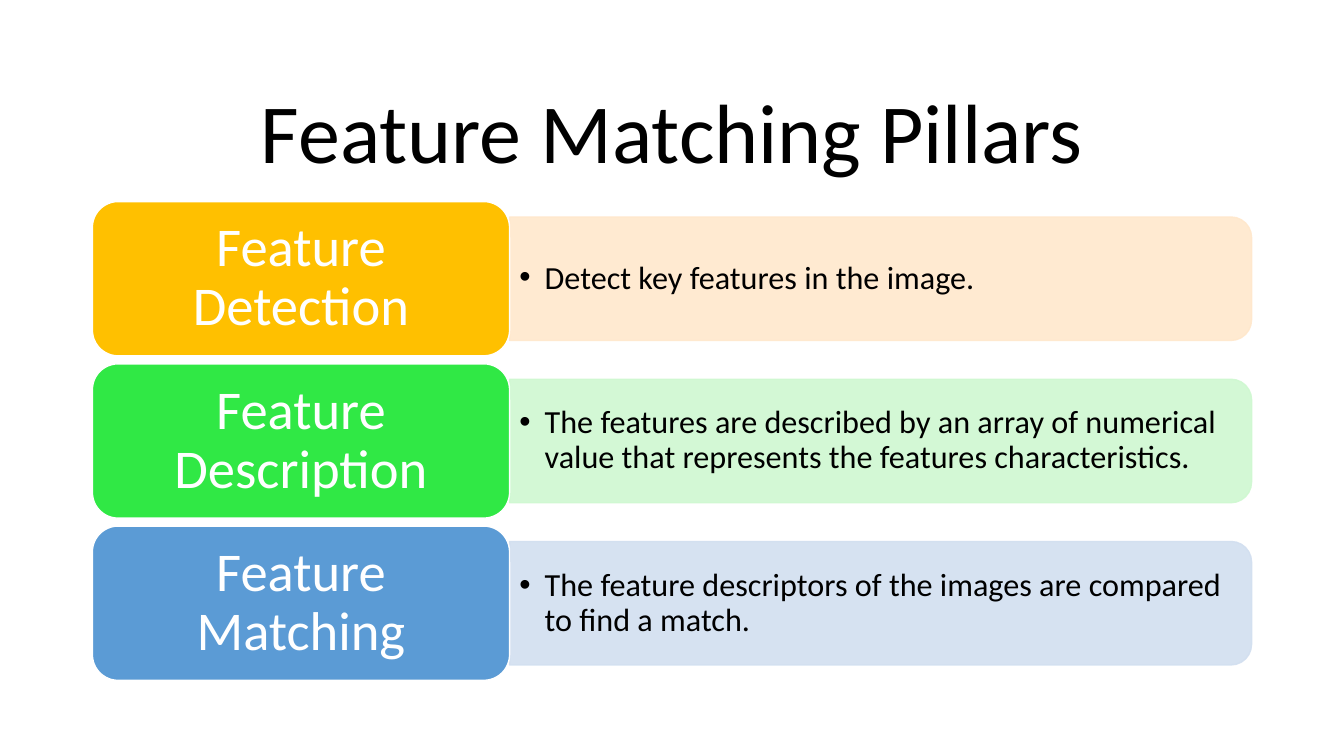
from dataclasses import dataclass

from lxml import etree
from pptx import Presentation
from pptx.dml.color import RGBColor
from pptx.enum.shapes import MSO_SHAPE
from pptx.enum.text import MSO_ANCHOR, PP_ALIGN
from pptx.oxml.ns import qn
from pptx.shapes.autoshape import Shape
from pptx.slide import Slide
from pptx.util import Pt

ROUND_RECT = MSO_SHAPE.ROUNDED_RECTANGLE
ROUND_TOP = MSO_SHAPE.ROUND_2_SAME_RECTANGLE
MIDDLE, BOTTOM = MSO_ANCHOR.MIDDLE, MSO_ANCHOR.BOTTOM
LEFT, CENTER = PP_ALIGN.LEFT, PP_ALIGN.CENTER


@dataclass(frozen=True)
class Theme:
    font: str = "Calibri"
    ink: str = "000000"
    white: str = "FFFFFF"
    title_size: float = 60
    label_size: float = 39
    detail_size: float = 23
    panel_opacity: int = 90


@dataclass(frozen=True)
class Pillar:
    name: str
    detail: str
    color: str
    tint: str


THEME = Theme()
PILLARS = [
    Pillar("Feature Detection", "Detect key features in the image.", "FFC000", "FFE8CC"),
    Pillar(
        "Feature Description",
        "The features are described by an array of numerical value "
        "that represents the features characteristics.",
        "30E845",
        "CFF8D1",
    ),
    Pillar(
        "Feature Matching",
        "The feature descriptors of the images are compared to find a match.",
        "5B9BD5",
        "D2DFF0",
    ),
]

MARGIN = 66
ROW_TOP, ROW_PITCH = 144, 115.9
LABEL_W, LABEL_H = 298, 110.2
PANEL_W, PANEL_H = 530, 88.2
DETAIL_W, DETAIL_H = 525.6, 80
BULLET_INDENT = 18


def write_text(sp: Shape, text: str, *, size: float, color: str = THEME.ink,
               align: PP_ALIGN = LEFT, anchor: MSO_ANCHOR = MIDDLE,
               inset: tuple[float, float] = (7.2, 3.6), bullet: bool = False) -> None:
    tf = sp.text_frame
    tf.word_wrap = True
    tf.vertical_anchor = anchor
    tf.margin_left = tf.margin_right = Pt(inset[0])
    tf.margin_top = tf.margin_bottom = Pt(inset[1])
    p = tf.paragraphs[0]
    p.alignment = align
    p.line_spacing = 0.9
    if bullet:
        pPr = p._p.get_or_add_pPr()
        pPr.set("marL", str(Pt(BULLET_INDENT)))
        pPr.set("indent", str(-Pt(BULLET_INDENT)))
        etree.SubElement(pPr, qn("a:buFont")).set("typeface", "Arial")
        etree.SubElement(pPr, qn("a:buChar")).set("char", "•")
    r = p.add_run()
    r.text = text
    r.font.name = THEME.font
    r.font.size = Pt(size)
    r.font.color.rgb = RGBColor.from_string(color)


def add_block(s: Slide, kind: MSO_SHAPE, x: float, y: float, w: float, h: float,
              *, fill: str, line: str, opacity: int = 100) -> Shape:
    sp = s.shapes.add_shape(kind, Pt(x), Pt(y), Pt(w), Pt(h))
    sp.shadow.inherit = False
    sp.fill.solid()
    sp.fill.fore_color.rgb = RGBColor.from_string(fill)
    sp.line.color.rgb = RGBColor.from_string(line)
    sp.line.width = Pt(1)
    if opacity < 100:
        for color in sp._element.spPr.iter(qn("a:srgbClr")):
            etree.SubElement(color, qn("a:alpha")).set("val", str(opacity * 1000))
    return sp


def add_pillar(s: Slide, pillar: Pillar, top: float) -> None:
    mid_y = top + LABEL_H / 2
    panel_x = MARGIN + LABEL_W
    panel = add_block(s, ROUND_TOP, panel_x + (PANEL_W - PANEL_H) / 2, mid_y - PANEL_W / 2,
                      PANEL_H, PANEL_W, fill=pillar.tint, line=pillar.tint,
                      opacity=THEME.panel_opacity)
    panel.rotation = 90
    detail = s.shapes.add_textbox(Pt(panel_x), Pt(mid_y - DETAIL_H / 2),
                                  Pt(DETAIL_W), Pt(DETAIL_H))
    write_text(detail, pillar.detail, size=THEME.detail_size, bullet=True)
    label = add_block(s, ROUND_RECT, MARGIN, top, LABEL_W, LABEL_H,
                      fill=pillar.color, line=THEME.white)
    write_text(label, pillar.name, size=THEME.label_size, color=THEME.white,
               align=CENTER, inset=(11.5, 5.8))


def main() -> None:
    prs = Presentation()
    prs.slide_width, prs.slide_height = Pt(960), Pt(540)
    s = prs.slides.add_slide(prs.slide_layouts[6])
    title = s.shapes.add_textbox(Pt(MARGIN), Pt(28.8), Pt(828), Pt(104.4))
    write_text(title, "Feature Matching Pillars", size=THEME.title_size,
               align=CENTER, anchor=BOTTOM)
    for row, pillar in enumerate(PILLARS):
        add_pillar(s, pillar, ROW_TOP + row * ROW_PITCH)
    prs.save("out.pptx")


if __name__ == "__main__":
    main()
